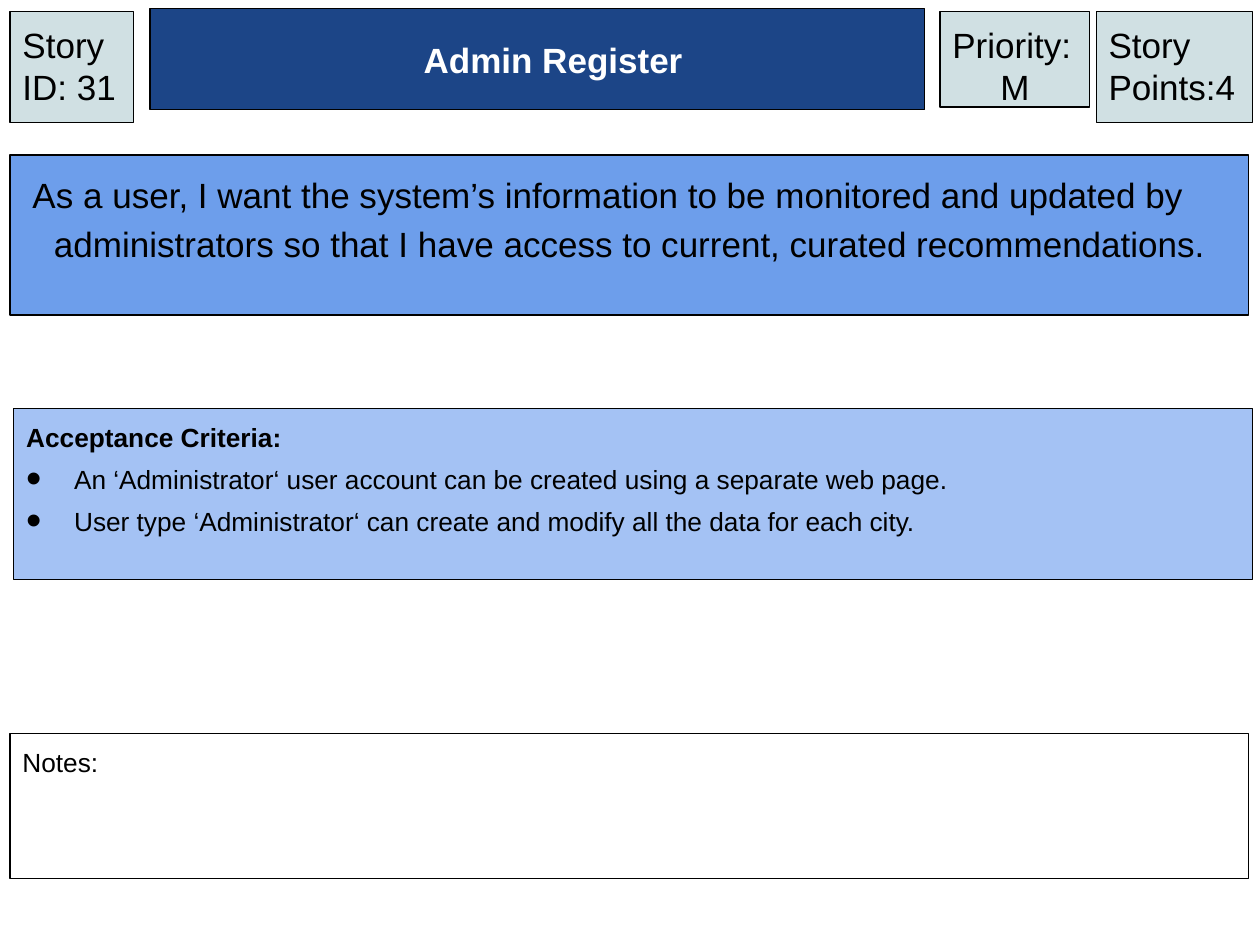
from lxml import etree
from pptx import Presentation
from pptx.dml.color import RGBColor
from pptx.enum.shapes import MSO_SHAPE
from pptx.enum.text import MSO_ANCHOR, PP_ALIGN
from pptx.oxml.ns import qn
from pptx.util import Inches, Pt

RECTANGLE = MSO_SHAPE.RECTANGLE
TOP, MIDDLE = MSO_ANCHOR.TOP, MSO_ANCHOR.MIDDLE
LEFT, CENTER = PP_ALIGN.LEFT, PP_ALIGN.CENTER
FONT = "Arial"
BLACK, WHITE, PALE = "000000", "FFFFFF", "D0E0E3"
HANGING = (0.38, -0.38)


def color(value):
    return RGBColor.from_string(value)


def add_panel(slide, left, top, width, height, fill, anchor=TOP):
    panel = slide.shapes.add_shape(
        RECTANGLE, Inches(left), Inches(top), Inches(width), Inches(height)
    )
    panel.shadow.inherit = False
    panel.fill.solid()
    panel.fill.fore_color.rgb = color(fill)
    panel.line.color.rgb = color(BLACK)
    panel.line.width = Pt(0.75)
    frame = panel.text_frame
    frame.word_wrap = True
    frame.vertical_anchor = anchor
    frame.margin_left = frame.margin_right = Inches(0.1)
    frame.margin_top = frame.margin_bottom = Inches(0.1)
    return frame


def write(paragraph, text, size=20, ink=BLACK, bold=False, align=LEFT, indent=(0, 0)):
    paragraph.text = text
    paragraph.alignment = align
    margin, first_line = indent
    properties = paragraph._p.get_or_add_pPr()
    properties.set("marL", str(Inches(margin)))
    properties.set("indent", str(Inches(first_line)))
    paragraph.font.name = FONT
    paragraph.font.size = Pt(size)
    paragraph.font.bold = bold
    paragraph.font.color.rgb = color(ink)


def add_bullet(frame, text):
    paragraph = frame.add_paragraph()
    paragraph.space_before = Pt(6)
    properties = paragraph._p.get_or_add_pPr()
    bullet_color = etree.SubElement(properties, qn("a:buClr"))
    etree.SubElement(bullet_color, qn("a:srgbClr"), val=BLACK)
    etree.SubElement(properties, qn("a:buSzPct"), val="167000")
    etree.SubElement(properties, qn("a:buFont"), typeface=FONT)
    etree.SubElement(properties, qn("a:buChar"), char="•")
    write(paragraph, text, size=15, indent=HANGING)


def main():
    deck = Presentation()
    deck.slide_width, deck.slide_height = Inches(10), Inches(7.5)
    slide = deck.slides.add_slide(deck.slide_layouts[6])

    story = add_panel(slide, 0.08, 1.23, 9.83, 1.27, "6D9EEB").paragraphs[0]
    write(
        story,
        "As a user, I want the system’s information to be monitored and updated by "
        "administrators so that I have access to current, curated recommendations.",
        indent=(0.25, -0.17),
    )
    story.line_spacing = 1.15

    title = add_panel(slide, 1.19, 0.07, 6.15, 0.8, "1C4587", MIDDLE)
    write(title.paragraphs[0], "Admin Register", ink=WHITE, bold=True,
          align=CENTER, indent=(0, 0.25))

    criteria = add_panel(slide, 0.11, 3.24, 9.83, 1.36, "A4C2F4")
    write(criteria.paragraphs[0], "Acceptance Criteria:", size=15, bold=True, indent=HANGING)
    for criterion in (
        "An ‘Administrator‘ user account can be created using a separate web page.",
        "User type ‘Administrator‘ can create and modify all the data for each city.",
    ):
        add_bullet(criteria, criterion)

    notes = add_panel(slide, 0.08, 5.82, 9.83, 1.15, WHITE)
    write(notes.paragraphs[0], "Notes:", size=15, indent=HANGING)

    points = add_panel(slide, 8.7, 0.09, 1.24, 0.88, PALE)
    write(points.paragraphs[0], "Story Points:4")

    priority = add_panel(slide, 7.46, 0.09, 1.19, 0.76, PALE)
    write(priority.paragraphs[0], "Priority:")
    write(priority.add_paragraph(), "M", align=CENTER)

    story_id = add_panel(slide, 0.08, 0.09, 0.98, 0.88, PALE)
    write(story_id.paragraphs[0], "Story ID: 31")

    deck.save("out.pptx")


if __name__ == "__main__":
    main()
